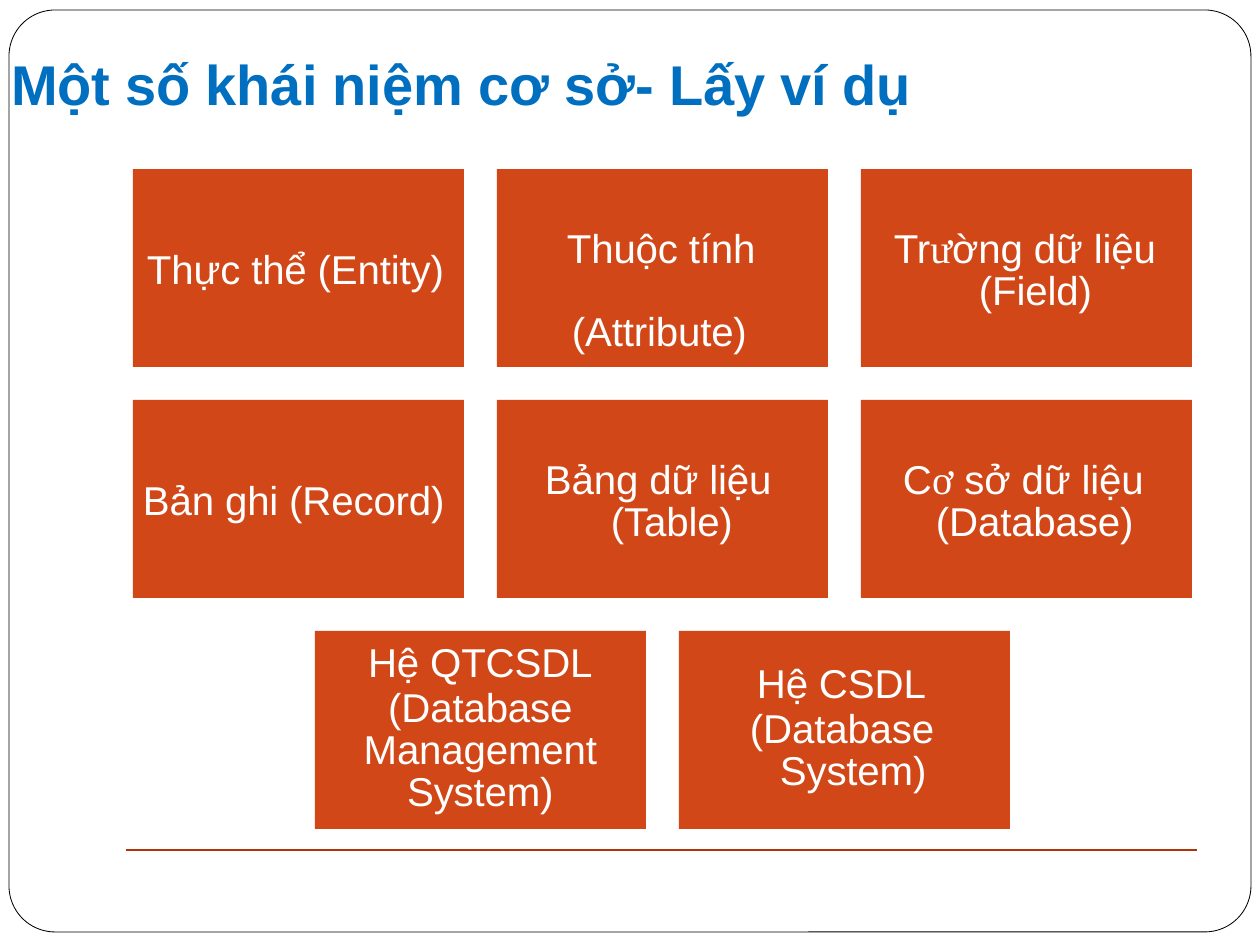
"""Build a slide of eight basic database concepts in a grid of boxes."""
import pptx
import pptx.dml.color
import pptx.enum.shapes
import pptx.enum.text
import pptx.oxml
import pptx.util

RGBColor = pptx.dml.color.RGBColor
WHITE = RGBColor(0xFF, 0xFF, 0xFF)
BLACK = RGBColor(0x00, 0x00, 0x00)
BLUE = RGBColor(0x00, 0x6F, 0xC0)
ORANGE = RGBColor(0xD2, 0x47, 0x17)
RUST = RGBColor(0xAE, 0x34, 0x08)
SHAPES = pptx.enum.shapes.MSO_SHAPE
ALIGN = pptx.enum.text.PP_ALIGN
PX = 914400 // 126
BOX_WIDTH, BOX_HEIGHT, GAP = 331, 198, 33
GRID_LEFT, GRID_TOP, COLUMNS = 133, 169, 3


def prepare_frame(shape, top):
    frame = shape.text_frame
    settings = {
        "word_wrap": True,
        "vertical_anchor": pptx.enum.text.MSO_ANCHOR.TOP,
        "margin_left": 0,
        "margin_right": 0,
        "margin_top": top * PX,
        "margin_bottom": 0,
    }
    for name, value in settings.items():
        setattr(frame, name, value)
    return frame


def add_span(para, text, **formats):
    span = para.add_run()
    span.text = text
    color = formats.pop("color")
    for name, value in formats.items():
        setattr(span.font, name, value)
    span.font.color.rgb = color
    span.font._element.set("spc", "-10")


deck = pptx.Presentation()
deck.slide_width = 1260 * PX
deck.slide_height = 945 * PX
page = deck.slides.add_slide(deck.slide_layouts[6])

border = page.shapes.add_shape(SHAPES.ROUNDED_RECTANGLE, 9 * PX, 10 * PX, 1242 * PX, 922 * PX)
border.adjustments[0] = 0.05
border.shadow.inherit = False
border.fill.background()
border.line.color.rgb = BLACK
border.line.width = pptx.util.Pt(0.48)

rule = page.shapes.add_connector(
    pptx.enum.shapes.MSO_CONNECTOR.STRAIGHT, 126 * PX, 850 * PX, 1197 * PX, 850 * PX)
rule.line.color.rgb = RUST
rule.line.width = pptx.util.Pt(0.78)
rule._element.spPr.append(pptx.oxml.parse_xml(
    '<a:effectLst xmlns:a="http://schemas.openxmlformats.org/drawingml/2006/main"/>'))

title = page.shapes.add_textbox(11 * PX, 43 * PX, 1229 * PX, 69 * PX)
title_para = prepare_frame(title, 6).paragraphs[0]
add_span(title_para, "Một số khái niệm cơ sở- Lấy ví dụ",
         name="Arial", size=pptx.util.Pt(32), bold=True, color=BLUE)

# Each paragraph: first-line left, next-line left, space before, lines of spans.
rows = [
    [
        (82, [(14, 14, 0, [["Thực thể (Entity)"]])]),
        (61, [(70, 70, 0, [["Thuộc tính"]]), (75, 75, 23.8, [["(Attribute)"]])]),
        (61, [(33, 118, 0, [["Tr", "ư", "ờng dữ liệu"], ["(Field)"]])]),
    ],
    [
        (82, [(10, 10, 0, [["Bản ghi (Record)"]])]),
        (61, [(48, 114, 0, [["Bảng dữ liệu"], ["(Table)"]])]),
        (61, [(42, 75, 0, [["C", "ơ", " sở dữ liệu"], ["(Database)"]])]),
    ],
    [
        (13, [(None, None, 0, [["Hệ QTCSDL"]]),
              (None, None, 2, [["(Database"], ["Management"], ["System)"]])]),
        (34, [(78, 78, 0, [["Hệ CSDL"]]),
              (71, 101, 2, [["(Database"], ["System)"]])]),
    ],
]

for row_index, row in enumerate(rows):
    row_left = GRID_LEFT + (COLUMNS - len(row)) * (BOX_WIDTH + GAP) // 2
    row_top = GRID_TOP + row_index * (BOX_HEIGHT + GAP)
    for column, (text_top, paragraphs) in enumerate(row):
        box_left = row_left + column * (BOX_WIDTH + GAP)
        box = page.shapes.add_shape(
            SHAPES.RECTANGLE, box_left * PX, row_top * PX, BOX_WIDTH * PX, BOX_HEIGHT * PX)
        box.shadow.inherit = False
        box.fill.solid()
        box.fill.fore_color.rgb = ORANGE
        box.line.fill.background()
        frame = prepare_frame(box, text_top)
        for index, (first_left, next_left, before, lines) in enumerate(paragraphs):
            para = frame.add_paragraph() if index else frame.paragraphs[0]
            settings = {
                "alignment": ALIGN.CENTER if first_left is None else ALIGN.LEFT,
                "line_spacing": pptx.util.Pt(23.8),
                "space_before": pptx.util.Pt(before),
            }
            for name, value in settings.items():
                setattr(para, name, value)
            if first_left is not None:
                properties = para._p.get_or_add_pPr()
                properties.set("marL", str(next_left * PX))
                properties.set("indent", str((first_left - next_left) * PX))
            for line_index, line in enumerate(lines):
                if line_index:
                    para.add_line_break()
                for text in line:
                    font_name = "Times New Roman" if text in ("ư", "ơ") else "Arial"
                    add_span(para, text, name=font_name, size=pptx.util.Pt(23), color=WHITE)

deck.save("out.pptx")
